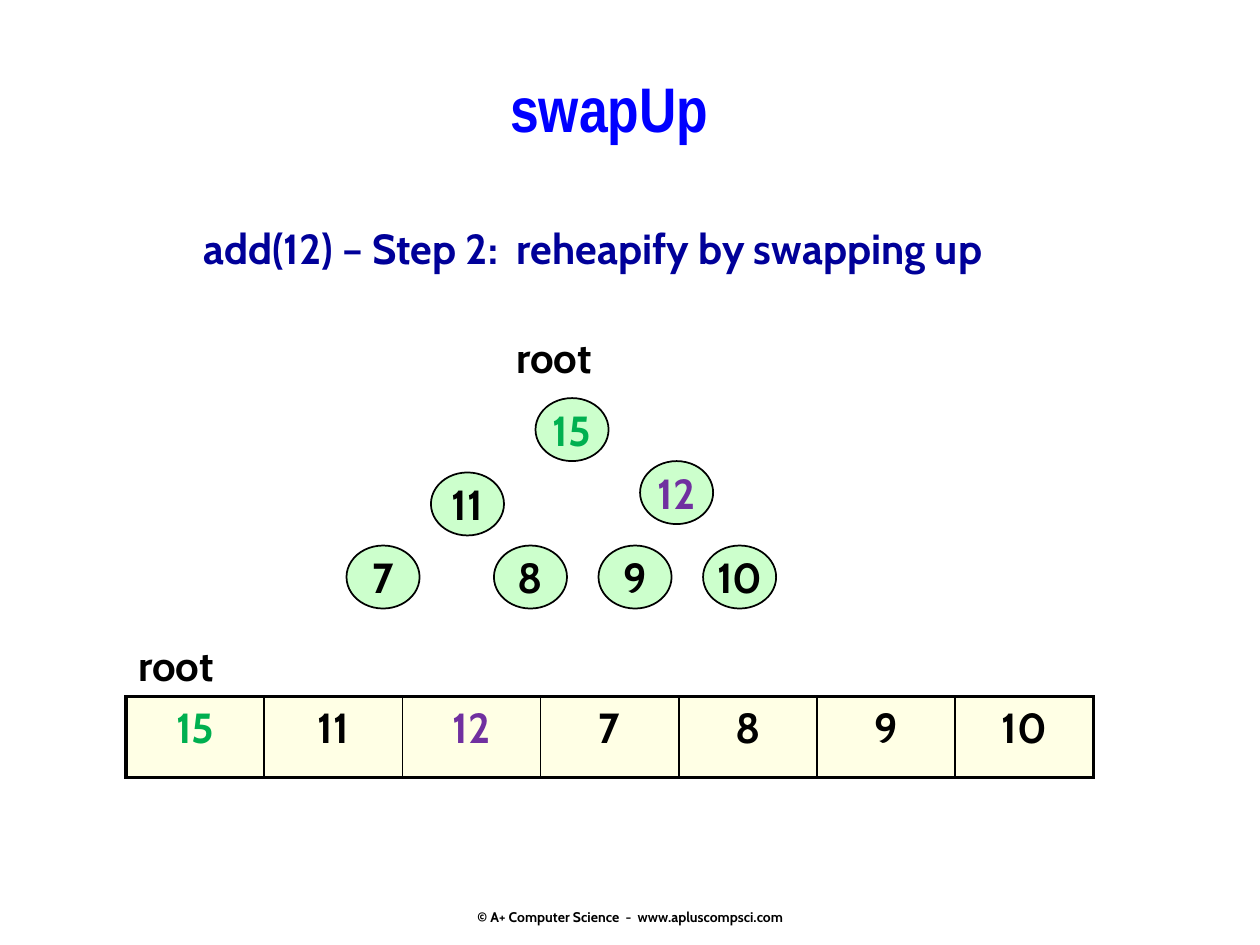
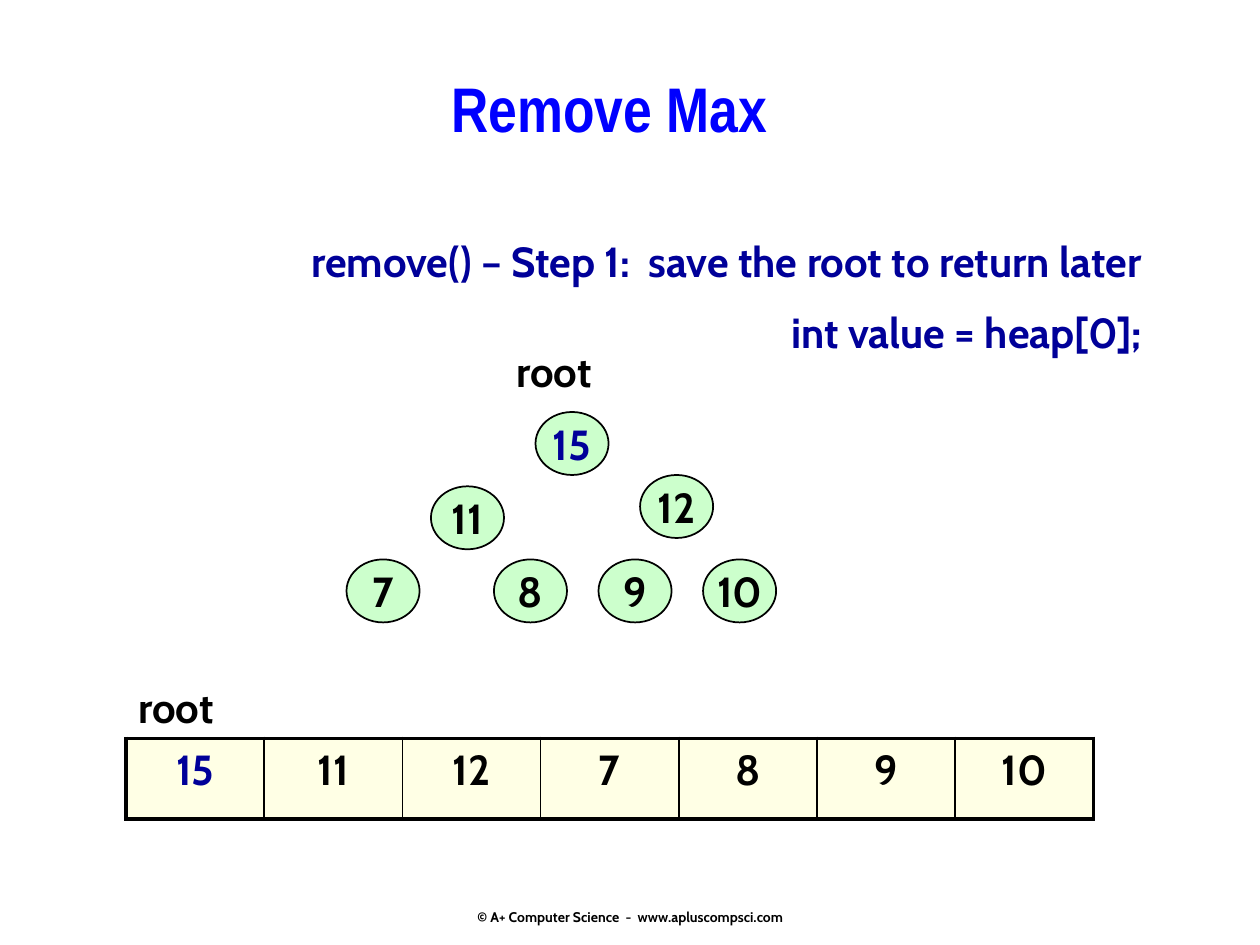
"""Builds two slides on heap operations, each with a tree and its array."""
from dataclasses import dataclass

from lxml import etree
from pptx import Presentation
from pptx import util as u
from pptx.dml.color import RGBColor
from pptx.enum import shapes, text
from pptx.oxml import ns


@dataclass(frozen=True)
class Theme:
    """Colours, fonts and type sizes shared by the slides."""
    title: str = "0000FF"
    title_edge: str = "FFFF00"
    step: str = "000099"
    ink: str = "000000"
    parent: str = "00B050"
    moved: str = "7030A0"
    node: str = "CCFFCC"
    cell: str = "FFFFCC"
    title_font: str = "Arial Narrow"
    font: str = "Cabin"
    title_size: float = 36
    size: float = 24
    footer_size: float = 8
    thin: float = 1
    thick: float = 2.25


@dataclass(frozen=True)
class Box:
    """A region of the slide, in inches."""
    left: float
    top: float
    width: float
    height: float

    def inset(self, left, top, width, height):
        """Return a box placed relative to this one."""
        return Box(self.left + left, self.top + top, width, height)

    def lengths(self):
        """Return the four measures as lengths."""
        return [u.Inches(n) for n in (self.left, self.top, self.width, self.height)]


THEME = Theme()
ALIGN = text.PP_ALIGN
HEAP = (15, 11, 12, 7, 8, 9, 10)
NODE_OFFSETS = ((1.5, 0.58), (0.67, 1.17), (2.33, 1.08),
                (0, 1.75), (1.17, 1.75), (2, 1.75), (2.83, 1.75))
TITLE_BOX = Box(2.17, 0.5, 5.33, 0.67)
FOOTER_BOX = Box(3.42, 6.83, 3.17, 0.5)


def write(para, words, color=THEME.ink, size=THEME.size, font=THEME.font, align=ALIGN.CENTER):
    """Add one bold run to a paragraph and return it."""
    para.alignment = align
    span = para.add_run()
    span.text = words
    span.font.name, span.font.size, span.font.bold = font, u.Pt(size), True
    span.font.color.rgb = RGBColor.from_string(color)
    return span


def add_line(parent, tag, color, width, position):
    """Insert a solid line element into a text or cell property element."""
    line = etree.Element(ns.qn(tag), w=str(u.Pt(width)))
    fill = etree.SubElement(line, ns.qn("a:solidFill"))
    etree.SubElement(fill, ns.qn("a:srgbClr"), val=color)
    parent.insert(position, line)


def add_title(page, words, box):
    """Fill and format the title placeholder."""
    title = page.shapes.title
    title.left, title.top, title.width, title.height = box.lengths()
    frame = title.text_frame
    frame.auto_size = text.MSO_AUTO_SIZE.NONE
    frame.vertical_anchor = text.MSO_ANCHOR.TOP
    frame.word_wrap = False
    span = write(frame.paragraphs[0], words, THEME.title, THEME.title_size, THEME.title_font)
    props = span._r.get_or_add_rPr()
    add_line(props, "a:ln", THEME.title_edge, 0.75, 0)


def add_label(holder, lines, box, color=THEME.ink, align=ALIGN.LEFT, spacing=1.0):
    """Add a wrapping text box with one paragraph for each line."""
    frame = holder.add_textbox(*box.lengths()).text_frame
    frame.word_wrap = True
    for index, words in enumerate(lines):
        para = frame.add_paragraph() if index else frame.paragraphs[0]
        para.line_spacing = spacing
        if index:
            para.space_before = u.Pt(0.2 * THEME.size)
        write(para, words, color, align=align)


def add_tree(page, box, colors):
    """Draw the heap as a group of round nodes under a root label."""
    tree = page.shapes.add_group_shape().shapes
    add_label(tree, ["root"], box.inset(1.25, 0, 1.5, 0.5))
    for value, (left, top) in zip(HEAP, NODE_OFFSETS):
        spot = box.inset(left, top, 0.58, 0.5)
        node = tree.add_shape(shapes.MSO_SHAPE.OVAL, *spot.lengths())
        node.shadow.inherit = False
        node.fill.solid()
        node.fill.fore_color.rgb = RGBColor.from_string(THEME.node)
        node.line.color.rgb = RGBColor.from_string(THEME.ink)
        node.line.width = u.Pt(THEME.thin)
        frame = node.text_frame
        frame.word_wrap = False
        frame.vertical_anchor = text.MSO_ANCHOR.MIDDLE
        write(frame.paragraphs[0], str(value), colors.get(value, THEME.ink))


def style_cell(cell, first, last):
    """Give a cell its half-clear fill and its borders."""
    cell.fill.solid()
    cell.fill.fore_color.rgb = RGBColor.from_string(THEME.cell)
    props = cell._tc.get_or_add_tcPr()
    tint = props.find(".//" + ns.qn("a:srgbClr"))
    etree.SubElement(tint, ns.qn("a:alpha"), val="50000")
    outer = {"L": first, "R": last, "T": True, "B": True}
    for position, (side, is_outer) in enumerate(outer.items()):
        width = THEME.thick if is_outer else THEME.thin
        add_line(props, f"a:ln{side}", THEME.ink, width, position)


def add_array(page, box, colors):
    """Draw the heap as a one-row table under a root label."""
    add_label(page.shapes, ["root"], box.inset(0, 0, 7, 0.5))
    spot = box.inset(0, 0.5, box.width, 0.64)
    table = page.shapes.add_table(1, len(HEAP), *spot.lengths()).table
    table.first_row = table.horz_banding = False
    for index, value in enumerate(HEAP):
        table.columns[index].width = u.Inches(box.width / len(HEAP))
        cell = table.cell(0, index)
        style_cell(cell, index == 0, index == len(HEAP) - 1)
        write(cell.text_frame.paragraphs[0], str(value), colors.get(value, THEME.ink))


def add_footer(page, box):
    """Add the copyright line at the foot of its box."""
    frame = page.shapes.add_textbox(*box.lengths()).text_frame
    frame.word_wrap = False
    frame.vertical_anchor = text.MSO_ANCHOR.MIDDLE
    frame.margin_top, frame.margin_bottom = u.Inches(0.4), 0
    write(frame.paragraphs[0], "© A+ Computer Science  -  www.apluscompsci.com",
          size=THEME.footer_size)


def add_heap_slide(deck, title, steps, step_box, align, spacing, tree_top, array_top, colors):
    """Add a slide that shows one step of a heap operation."""
    page = deck.slides.add_slide(deck.slide_layouts[5])
    add_title(page, title, TITLE_BOX)
    add_label(page.shapes, steps, step_box, THEME.step, align, spacing)
    add_tree(page, Box(2.75, tree_top, 3.41, 2.25), colors)
    add_array(page, Box(1, array_top, 7.68, 1.14), colors)
    add_footer(page, FOOTER_BOX)


def main():
    """Build and save the deck."""
    deck = Presentation()
    deck.slide_width, deck.slide_height = u.Inches(10), u.Inches(7.5)
    add_heap_slide(deck, "swapUp", ["add(12) – Step 2:  reheapify by swapping up"],
                   Box(0.58, 1.72, 8.25, 0.5), ALIGN.CENTER, 1.0, 2.58, 5.03,
                   {15: THEME.parent, 12: THEME.moved})
    add_heap_slide(deck, "Remove Max",
                   ["remove() – Step 1:  save the root to return later", "int value = heap[0];"],
                   Box(0.58, 1.72, 8.58, 1.13), ALIGN.RIGHT, 1.25, 2.69, 5.36,
                   {15: THEME.step})
    deck.save("out.pptx")


if __name__ == "__main__":
    main()
